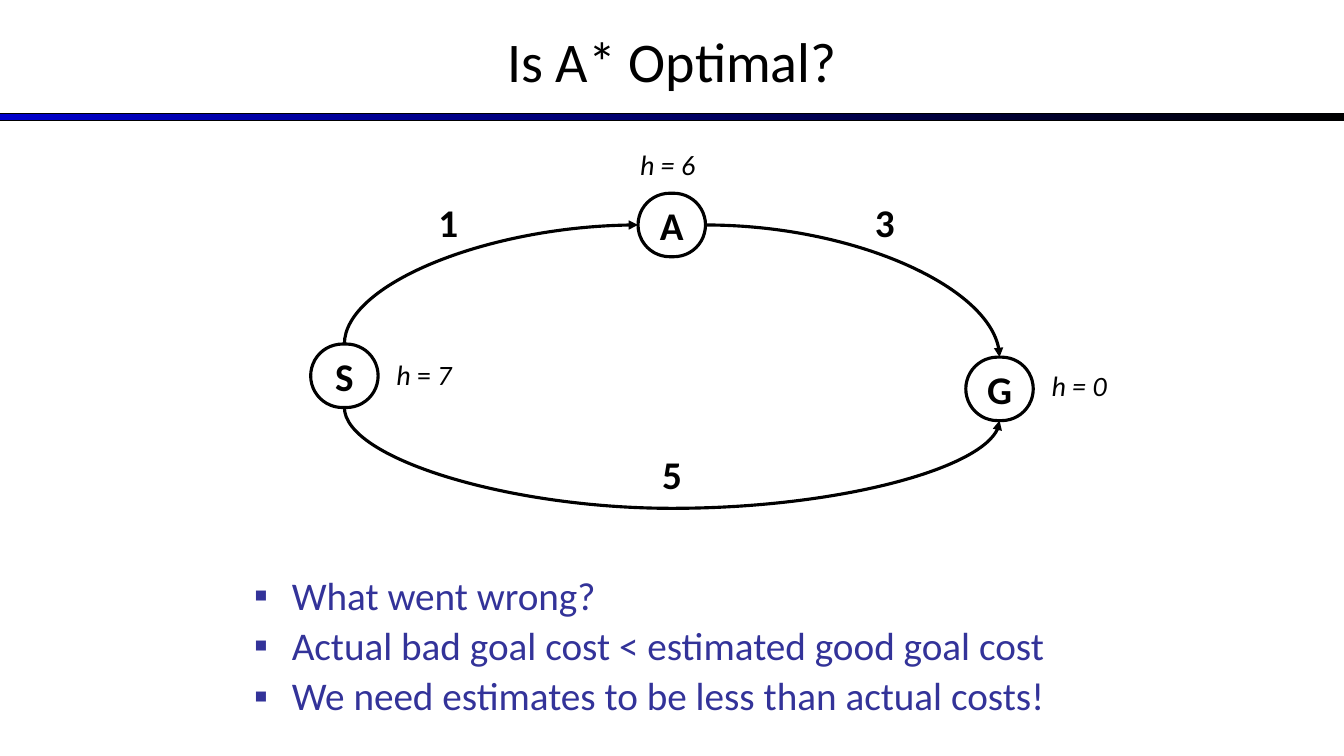
from lxml import etree
from pptx import Presentation
from pptx.dml.color import RGBColor
from pptx.enum.shapes import MSO_CONNECTOR, MSO_SHAPE
from pptx.enum.text import MSO_ANCHOR, MSO_AUTO_SIZE, PP_ALIGN
from pptx.oxml.ns import qn
from pptx.util import Cm, Pt

RECTANGLE, ROUNDED = MSO_SHAPE.RECTANGLE, MSO_SHAPE.ROUNDED_RECTANGLE
CURVE = MSO_CONNECTOR.CURVE
MIDDLE, TOP = MSO_ANCHOR.MIDDLE, MSO_ANCHOR.TOP
CENTER, LEFT = PP_ALIGN.CENTER, PP_ALIGN.LEFT
NO_AUTOFIT = MSO_AUTO_SIZE.NONE

COLORS = {"ink": "000000", "bar": "0000CC", "list": "333399"}
SLIDE_WIDTH, SLIDE_HEIGHT = 33.87, 19.05
NODE_WIDTH, NODE_HEIGHT = 1.7, 1.6


def color(name):
    return RGBColor.from_string(COLORS[name])


class GraphSlide:
    """Holds the slide and its style; all lengths are centimetres."""

    font_name = "Calibri"
    label_size = 28
    heuristic_size = 20
    line_width = 2.25

    def __init__(self, presentation):
        self.slide = presentation.slides.add_slide(presentation.slide_layouts[1])
        self.shapes = self.slide.shapes

    def style(self, font, size, ink="ink", bold=False, italic=False):
        font.name, font.size = self.font_name, Pt(size)
        font.bold, font.italic = bold, italic
        font.color.rgb = color(ink)

    def place(self, shape, left, top, width, height):
        shape.left, shape.top = Cm(left), Cm(top)
        shape.width, shape.height = Cm(width), Cm(height)

    def title(self, wording, *box):
        heading = self.shapes.title
        self.place(heading, *box)
        frame = heading.text_frame
        frame.text = wording
        frame.vertical_anchor, frame.auto_size = MIDDLE, NO_AUTOFIT
        frame.paragraphs[0].alignment = CENTER
        self.style(frame.paragraphs[0].font, 40)

    def bullets(self, lines, *box):
        body = self.slide.placeholders[1]
        self.place(body, *box)
        frame = body.text_frame
        frame.text = "\n".join(lines)
        frame.vertical_anchor, frame.auto_size = TOP, NO_AUTOFIT
        for paragraph in frame.paragraphs:
            paragraph.alignment = LEFT
            paragraph.line_spacing = 0.9
            paragraph.space_before = Pt(5.6)
            properties = paragraph._p.get_or_add_pPr()
            properties.set("marL", str(Cm(0.95)))
            properties.set("indent", str(-Cm(0.95)))
            bullet_color = etree.SubElement(properties, qn("a:buClr"))
            etree.SubElement(bullet_color, qn("a:srgbClr"), val=COLORS["list"])
            etree.SubElement(properties, qn("a:buFont"), typeface=self.font_name)
            etree.SubElement(properties, qn("a:buChar"), char="▪")
            self.style(paragraph.font, self.label_size, "list")

    def gradient_bar(self, *box):
        bar = self.shapes.add_shape(RECTANGLE, *map(Cm, box))
        bar.shadow.inherit = False
        bar.fill.gradient()
        bar.fill.gradient_angle = 0
        for stop, name, position in zip(bar.fill.gradient_stops, ("bar", "ink"), (0, 1)):
            stop.color.rgb = color(name)
            stop.position = position
        bar.line.color.rgb = color("ink")
        bar.line.width = Pt(0.75)

    def node(self, name, center):
        x, y = center
        circle = self.shapes.add_shape(ROUNDED, 0, 0, 0, 0)
        self.place(circle, x - NODE_WIDTH / 2, y - NODE_HEIGHT / 2, NODE_WIDTH, NODE_HEIGHT)
        circle.adjustments[0] = 0.5
        circle.shadow.inherit = False
        circle.fill.background()
        circle.line.color.rgb = color("ink")
        circle.line.width = Pt(self.line_width)
        frame = circle.text_frame
        frame.text = name
        frame.word_wrap, frame.vertical_anchor = False, MIDDLE
        frame.paragraphs[0].alignment = CENTER
        self.style(frame.paragraphs[0].font, self.label_size, bold=True)

    def label(self, wording, *box, align=LEFT):
        frame = self.shapes.add_textbox(*map(Cm, box)).text_frame
        frame.word_wrap = True
        paragraph = frame.paragraphs[0]
        paragraph.alignment = align
        paragraph.text = wording
        return paragraph

    def cost(self, wording, *box, align=LEFT):
        self.style(self.label(wording, *box, align=align).font, self.label_size, bold=True)

    def heuristic(self, wording, *box):
        self.style(self.label(wording, *box).font, self.heuristic_size, italic=True)

    def mixed_heuristic(self, parts, *box):
        """Writes (wording, italic) parts on one line."""
        paragraph = self.label("", *box)
        for wording, italic in parts:
            run = paragraph.add_run()
            run.text = wording
            self.style(run.font, self.heuristic_size, italic=italic)

    def arc(self, start, end, preset, rotation=0, flips=(), drop=None):
        """Draws a curved arrow; a quarter turn swaps the sides of its frame."""
        width, height = (abs(b - a) for a, b in zip(start, end))
        if rotation % 180:
            width, height = height, width
        left = (start[0] + end[0] - width) / 2
        top = (start[1] + end[1] - height) / 2
        corners = left, top, left + width, top + height
        arrow = self.shapes.add_connector(CURVE, *map(Cm, corners))
        arrow.rotation = rotation
        arrow.line.color.rgb = color("ink")
        arrow.line.width = Pt(self.line_width)
        properties = arrow.element.spPr
        for flip in flips:
            properties.find(qn("a:xfrm")).set(flip, "1")
        geometry = properties.find(qn("a:prstGeom"))
        geometry.set("prst", preset)
        if drop:
            ratio = round(drop / width * 100000)
            guides = geometry.find(qn("a:avLst"))
            etree.SubElement(guides, qn("a:gd"), name="adj1", fmla=f"val {ratio}")
        etree.SubElement(properties.find(qn("a:ln")), qn("a:tailEnd"), type="triangle")
        etree.SubElement(properties, qn("a:effectLst"))


def main():
    presentation = Presentation()
    presentation.slide_width, presentation.slide_height = Cm(SLIDE_WIDTH), Cm(SLIDE_HEIGHT)
    graph = GraphSlide(presentation)

    graph.gradient_bar(0, 2.86, SLIDE_WIDTH, 0.19)
    graph.title("Is A* Optimal?", 0, -0.08, SLIDE_WIDTH, 3.18)
    graph.bullets(
        [
            "What went wrong?",
            "Actual bad goal cost < estimated good goal cost",
            "We need estimates to be less than actual costs!",
        ],
        6.15, 14.4, 26.6, 2.62,
    )

    centers = {"A": (16.93, 5.67), "G": (25.19, 9.8), "S": (8.68, 9.47)}
    for name, center in centers.items():
        graph.node(name, center)

    for wording, left in (("1", 10.8), ("3", 21.8)):
        graph.cost(wording, left, 4.87, 1.27, 1.44)
    graph.cost("5", 0, 11.22, SLIDE_WIDTH, 1.44, align=CENTER)
    graph.heuristic("h = 6", 15.88, 3.6, 2.54, 1.11)
    graph.heuristic("h = 0", 26.25, 9.15, 2.54, 1.11)
    graph.mixed_heuristic([("h", True), (" = ", False), ("7", True)], 9.74, 8.89, 2.12, 1.11)

    def side(name, across, down):
        x, y = centers[name]
        return x + across * NODE_WIDTH / 2, y + down * NODE_HEIGHT / 2

    graph.arc(side("S", 0, 1), side("G", 0, 1), "curvedConnector3", 270, ["flipH"], drop=2.54)
    graph.arc(side("S", 0, -1), side("A", -1, 0), "curvedConnector2", 90, ["flipH", "flipV"])
    graph.arc(side("A", 1, 0), side("G", 0, -1), "curvedConnector2")

    presentation.save("out.pptx")


if __name__ == "__main__":
    main()
